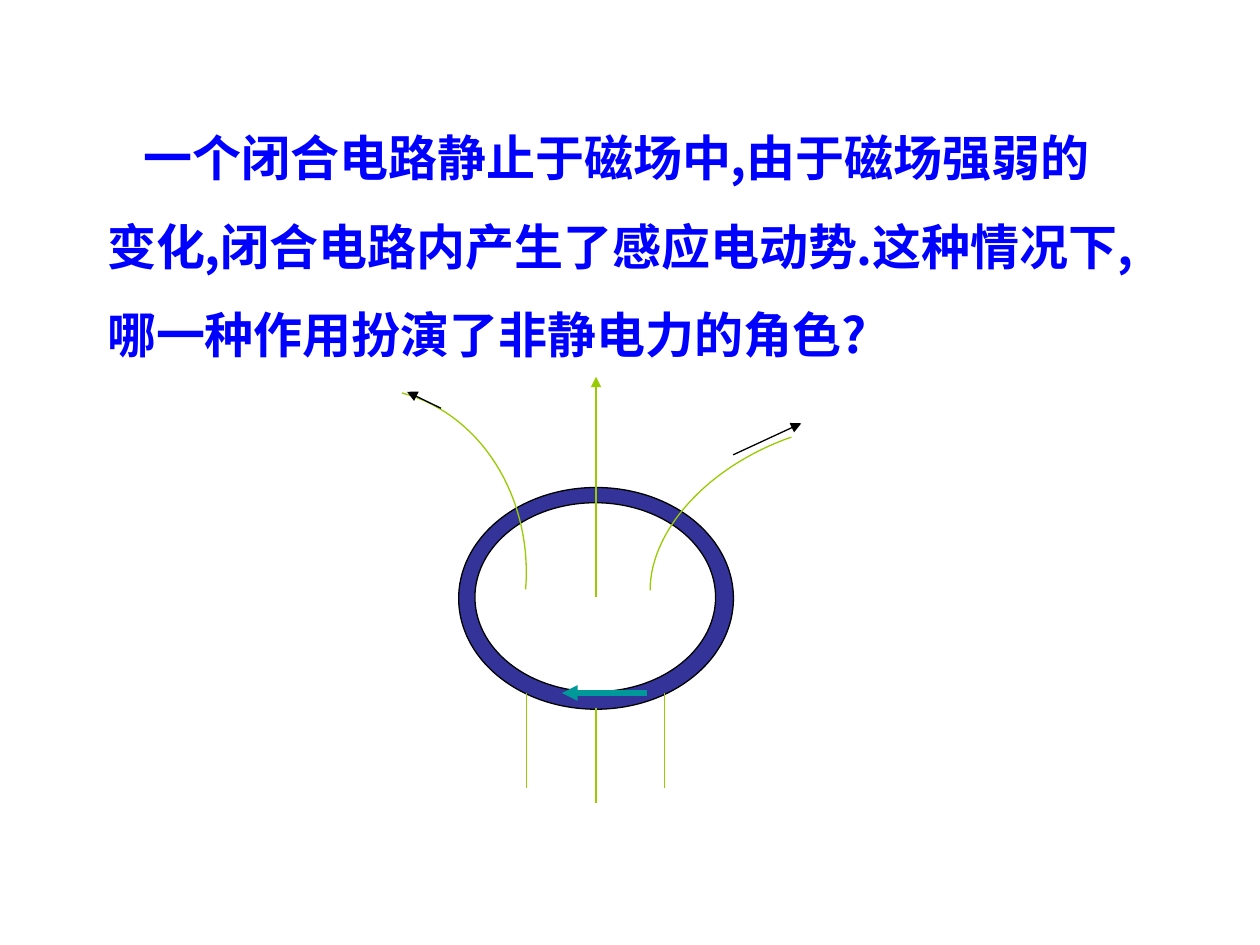
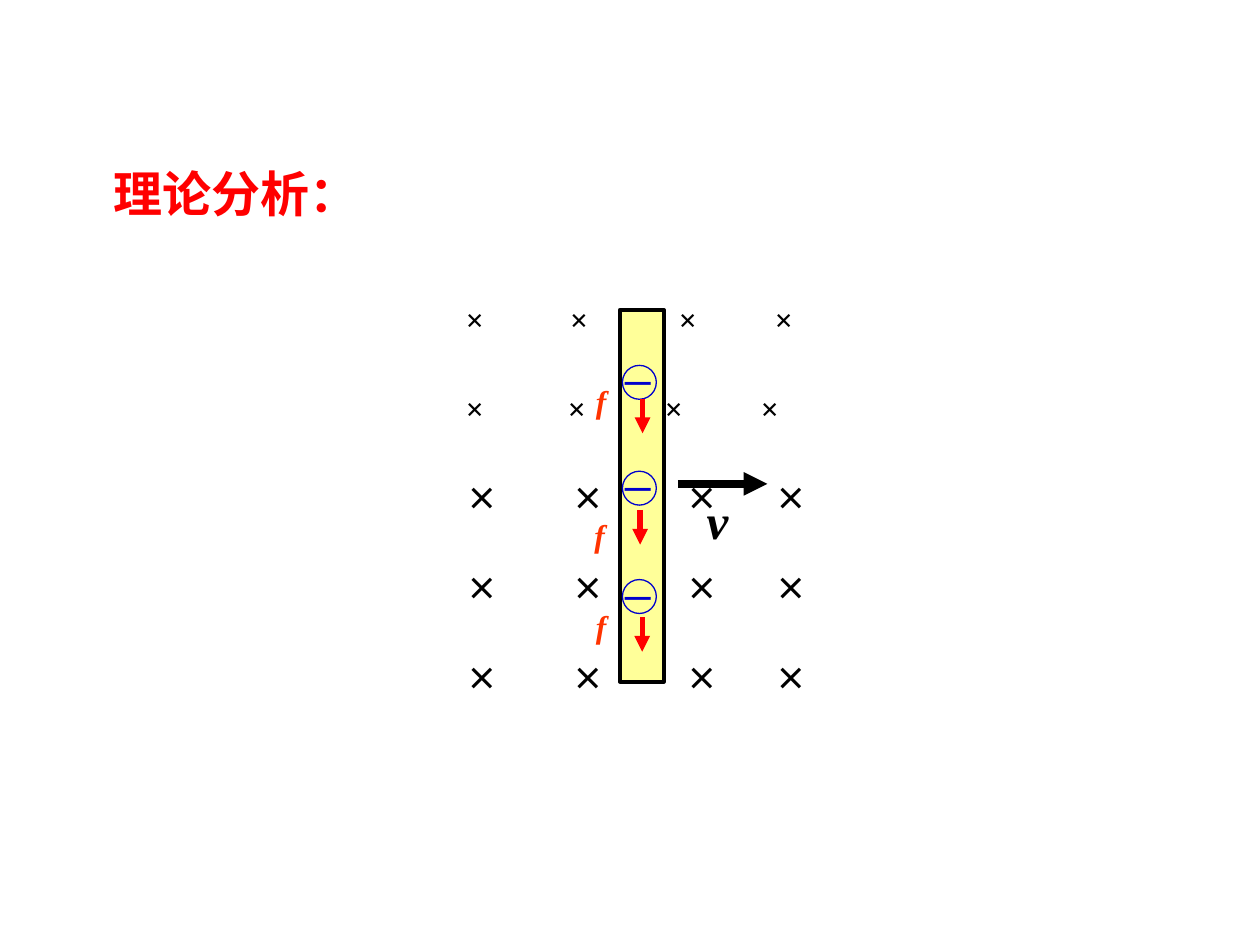
from lxml import etree
from pptx import Presentation
from pptx.dml.color import RGBColor
from pptx.enum.shapes import MSO_CONNECTOR, MSO_SHAPE
from pptx.enum.text import MSO_ANCHOR, MSO_AUTO_SIZE, PP_ALIGN
from pptx.oxml.ns import qn
from pptx.util import Pt

STRAIGHT = MSO_CONNECTOR.STRAIGHT
OVAL, RECT = MSO_SHAPE.OVAL, MSO_SHAPE.RECTANGLE
TOP, LEFT, NO_FIT = MSO_ANCHOR.TOP, PP_ALIGN.LEFT, MSO_AUTO_SIZE.NONE

BLACK = RGBColor(0, 0, 0)
WHITE = RGBColor(0xFF, 0xFF, 0xFF)
BLUE = RGBColor(0, 0, 0xFF)
RED = RGBColor(0xFF, 0, 0)
ORANGE = RGBColor(0xFF, 0x33, 0)
INDIGO = RGBColor(0x33, 0x33, 0x99)
CHARGE_BLUE = RGBColor(0, 0, 0xCC)
FIELD_GREEN = RGBColor(0x99, 0xCC, 0)
TEAL = RGBColor(0, 0x99, 0x99)
YELLOW = RGBColor(0xFF, 0xFF, 0x99)
CJK, SERIF = "Noto Sans CJK SC", "Times New Roman"

# Content of slide 1: a ring in a changing magnetic field
QUESTION = ("一个闭合电路静止于磁场中,由于磁场强弱的变化,闭合电路内产生了感应电动势."
            "这种情况下,哪一种作用扮演了非静电力的角色?")
RING = [((262.1, 278.6, 157, 126.7), INDIGO), ((271.4, 287.3, 137.5, 108), WHITE)]
RING_X, BELOW_LEN = 340.6, 54
FIELD_BELOW = [(RING_X, 404.6), (301, 396), (379.6, 396)]  # x, top
FIELD_CURVES = [  # four Bezier points, then the arrow at the tip
    ([(229.7, 224.6), (274.3, 236.2), (304.6, 283.7), (300.4, 336.8)],
     (252, 233.3, 232.6, 223.9)),
    ([(371.5, 337.3), (371.5, 303.1), (404.6, 266.4), (452.2, 249.8)],
     (419, 259.9, 457.9, 241.9)),
]
CURVE_STEPS = 30

# Content of slide 2: a rod moving through the field
HEADING = "理论分析："
CROSS_LEFT, CROSS_TOP, CROSS_PITCH = 259.2, 141.4, 51.4
CROSS_ROWS = [  # font, centres of the crosses
    (SERIF, (271.4, 330.9, 393.1, 448)),
    (SERIF, (271.4, 329.7, 385.1, 440)),
] + [(CJK, (275.4, 336, 401.1, 452))] * 3
CHARGES = [  # circle top, force arrow (x, top), label (left, top)
    (208.8, (367.2, 227.8), (333.4, 214.6)),
    (269.3, (365.8, 291.4), (332.6, 291.6)),
    (331.2, (367, 352.6), (333.4, 343.4)),
]
FORCE_LEN = 19.8


def box(*lengths):
    return [Pt(v) for v in lengths]


def style(p, size, color, font=CJK, bold=True, italic=False):
    for r in p.runs:
        f = r.font
        f.size, f.bold, f.italic, f.name = Pt(size), bold, italic, font
        f.color.rgb = color
        ea = etree.Element(qn("a:ea"), typeface=font)
        r.font._element.find(qn("a:latin")).addnext(ea)


def add_title(s, text, place, color):
    sp = s.shapes.title
    sp.left, sp.top, sp.width, sp.height = box(*place)
    tf = sp.text_frame
    tf.text = text
    tf.word_wrap, tf.auto_size, tf.vertical_anchor = True, NO_FIT, TOP
    p = tf.paragraphs[0]
    p.alignment = LEFT
    style(p, 28, color)
    return p


def add_label(s, text, place, *look, **extra):
    tf = s.shapes.add_textbox(*box(*place)).text_frame
    tf.word_wrap = True
    tf.text = text
    style(tf.paragraphs[0], *look, **extra)


def set_look(sp, fill, color, width):
    sp.shadow.inherit = False
    if fill is None:
        sp.fill.background()
    else:
        sp.fill.solid()
        sp.fill.fore_color.rgb = fill
    sp.line.color.rgb, sp.line.width = color, Pt(width)


def add_form(s, kind, place, fill, color, width=0.75):
    set_look(s.shapes.add_shape(kind, *box(*place)), fill, color, width)


def add_line(s, ends, color, width=0.75, arrow=False):
    c = s.shapes.add_connector(STRAIGHT, *box(*ends))
    c.line.color.rgb, c.line.width = color, Pt(width)
    if arrow:
        etree.SubElement(c.line._get_or_add_ln(), qn("a:tailEnd"), type="triangle")
    etree.SubElement(c._element.spPr, qn("a:effectLst"))


def add_curve(s, controls, color):
    points = []
    for i in range(CURVE_STEPS + 1):
        t = i / CURVE_STEPS
        u = 1 - t
        weights = (u ** 3, 3 * u * u * t, 3 * u * t * t, t ** 3)
        points.append(tuple(Pt(sum(w * c[axis] for w, c in zip(weights, controls)))
                            for axis in (0, 1)))
    fb = s.shapes.build_freeform(*points[0])
    fb.add_line_segments(points[1:], close=False)
    set_look(fb.convert_to_shape(), None, color, 0.75)


def add_crosses(s):
    place = (CROSS_LEFT, CROSS_TOP, 235.4, CROSS_PITCH * len(CROSS_ROWS))
    tf = s.shapes.add_textbox(*box(*place)).text_frame
    tf.word_wrap = True
    tf.margin_left = tf.margin_right = tf.margin_top = tf.margin_bottom = 0
    for i, (font, centres) in enumerate(CROSS_ROWS):
        p = tf.add_paragraph() if i else tf.paragraphs[0]
        p.line_spacing = Pt(CROSS_PITCH)
        tabs = etree.SubElement(p._p.get_or_add_pPr(), qn("a:tabLst"))
        for x in centres:
            etree.SubElement(tabs, qn("a:tab"), pos=str(Pt(x - CROSS_LEFT)), algn="ctr")
        p.text = "\t×" * len(centres)
        style(p, 18, BLACK, font)


def build_ring_slide(s):
    p = add_title(s, QUESTION, (54, 52.6, 600.5, 158.4), BLUE)
    p.line_spacing = 1.5
    p._p.get_or_add_pPr().set("indent", str(Pt(21)))
    # Ring
    for place, fill in RING:
        add_form(s, OVAL, place, fill, BLACK)
    # Field lines
    add_line(s, (RING_X, 341.3, RING_X, 215.3), FIELD_GREEN, arrow=True)
    for x, top in FIELD_BELOW:
        add_line(s, (x, top, x, top + BELOW_LEN), FIELD_GREEN)
    for controls, tip in FIELD_CURVES:
        add_curve(s, controls, FIELD_GREEN)
        add_line(s, tip, BLACK, arrow=True)
    # Induced current
    add_line(s, (370, 396, 321.1, 396), TEAL, 3, arrow=True)


def build_rod_slide(s):
    add_title(s, HEADING, (57.6, 90, 184.3, 41), RED)
    add_crosses(s)
    # Rod and its velocity
    add_form(s, RECT, (354.2, 177.1, 25.2, 212.4), YELLOW, BLACK, 2.25)
    add_line(s, (387.4, 276.5, 438.5, 276.5), BLACK, 4.5, arrow=True)
    add_label(s, "v", (396.7, 276.5, 31, 41), 28, BLACK, SERIF, italic=True)
    # Charges and the forces on them
    for top, (x, y), label in CHARGES:
        add_form(s, OVAL, (355.7, top, 19.4, 19.4), None, CHARGE_BLUE)
        add_label(s, "_", (349.9, top - 23.8, 31, 41), 28, CHARGE_BLUE, bold=False)
        add_line(s, (x, y, x, y + FORCE_LEN), RED, 3, arrow=True)
        add_label(s, "f", (*label, 36.7, 28.8), 18, ORANGE, SERIF, italic=True)


def main():
    prs = Presentation()
    prs.slide_width, prs.slide_height = box(720, 540)
    for build in (build_ring_slide, build_rod_slide):
        build(prs.slides.add_slide(prs.slide_layouts[5]))
    prs.save("out.pptx")


if __name__ == "__main__":
    main()
